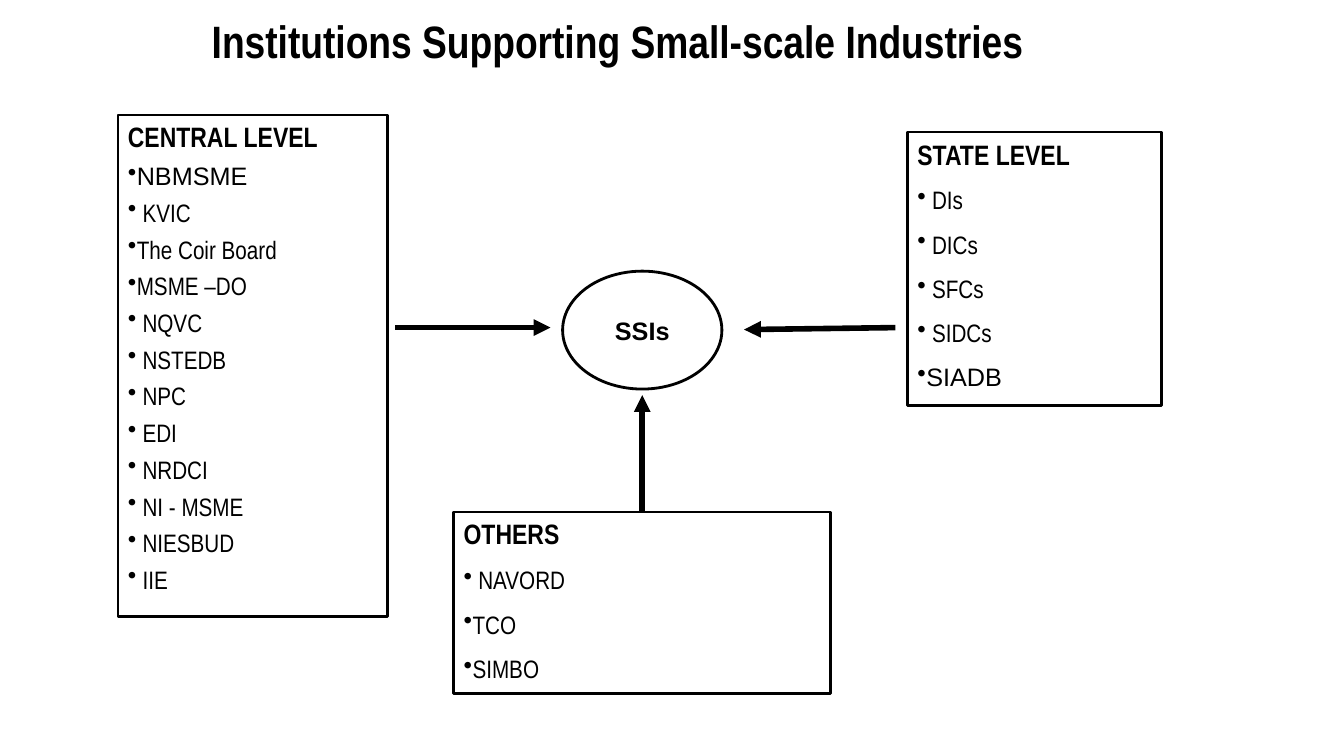
import pptx
import pptx.dml.color
import pptx.enum.shapes
import pptx.enum.text
import pptx.oxml.ns
import pptx.util
import lxml.etree

Inches = pptx.util.Inches
Pt = pptx.util.Pt
qn = pptx.oxml.ns.qn
SHAPE = pptx.enum.shapes.MSO_SHAPE
ALIGN = pptx.enum.text.PP_ALIGN
ANCHOR = pptx.enum.text.MSO_ANCHOR

THEME = {
    "ink": pptx.dml.color.RGBColor(0, 0, 0),
    "paper": pptx.dml.color.RGBColor(255, 255, 255),
    "narrow": "Arial Narrow",
    "wide": "Arial",
    "title": Pt(32.4),
    "heading": Pt(20),
    "body": Pt(18),
    "gap": Pt(10),
    "outline": Pt(2),
    "arrow": Pt(4),
}


def style(p, size, name, bold):
    p.font.size = size
    p.font.name = name
    p.font.bold = bold
    p.font.color.rgb = THEME["ink"]


def add_outlined(kind, left, top, width, height):
    sp = slide.shapes.add_shape(kind, Inches(left), Inches(top), Inches(width), Inches(height))
    sp.shadow.inherit = False
    sp.line.color.rgb = THEME["ink"]
    sp.line.width = THEME["outline"]
    sp.text_frame.word_wrap = True
    return sp


prs = pptx.Presentation()
prs.slide_width = Inches(13.33)
prs.slide_height = Inches(7.5)
slide = prs.slides.add_slide(prs.slide_layouts[5])

title = slide.shapes.title
title.left, title.top, title.width, title.height = Inches(2), Inches(0.17), Inches(9.33), Inches(0.53)
tf = title.text_frame
tf.text = "Institutions Supporting Small-scale Industries"
tf.vertical_anchor = ANCHOR.MIDDLE
p = tf.paragraphs[0]
p.alignment = ALIGN.LEFT
p.line_spacing = 0.9
style(p, THEME["title"], THEME["narrow"], True)

panels = [
    ("CENTRAL LEVEL", (1.17, 1.14, 2.67, 4.98), 0.75,
     ["NBMSME", " KVIC", "The Coir Board", "MSME –DO", " NQVC", " NSTEDB", " NPC",
      " EDI", " NRDCI", " NI - MSME", " NIESBUD", " IIE"]),
    ("STATE LEVEL", (9, 1.31, 2.52, 2.71), 1.0,
     [" DIs", " DICs", " SFCs", " SIDCs", "SIADB"]),
    ("OTHERS", (4.5, 5.08, 3.74, 1.8), 1.0,
     [" NAVORD", "TCO", "SIMBO"]),
]
wide_items = {"NBMSME", "SIADB"}
boxes = {}
for heading, place, spacing, items in panels:
    box = add_outlined(SHAPE.RECTANGLE, *place)
    box.fill.background()
    boxes[heading] = box
    tf = box.text_frame
    tf.vertical_anchor = ANCHOR.TOP
    p = tf.paragraphs[0]
    p.text = heading
    p.alignment = ALIGN.LEFT
    style(p, THEME["heading"], THEME["narrow"], True)
    for item in items:
        p = tf.add_paragraph()
        p.text = item
        p.alignment = ALIGN.LEFT
        p.line_spacing = spacing
        p.space_before = THEME["gap"]
        style(p, THEME["body"], THEME["wide" if item in wide_items else "narrow"], False)
        pPr = p._p.get_or_add_pPr()
        pPr.set("marL", "0")
        pPr.set("indent", "0")
        bullet = lxml.etree.Element(qn("a:buChar"), char="•")
        pPr.find(qn("a:defRPr")).addprevious(bullet)

hub = add_outlined(SHAPE.OVAL, 5.58, 2.69, 1.58, 1.17)
hub.fill.solid()
hub.fill.fore_color.rgb = THEME["paper"]
tf = hub.text_frame
tf.vertical_anchor = ANCHOR.MIDDLE
p = tf.paragraphs[0]
p.text = "SSIs"
p.alignment = ALIGN.CENTER
style(p, THEME["body"], THEME["wide"], True)

arrows = [
    ((6.37, 5.08), (6.37, 3.92), boxes["OTHERS"]),
    ((3.92, 3.25), (5.46, 3.25), None),
    ((8.88, 3.25), (7.38, 3.27), None),
]
for start, end, source in arrows:
    arrow = slide.shapes.add_connector(
        pptx.enum.shapes.MSO_CONNECTOR.STRAIGHT, *map(Inches, start + end))
    if source is not None:
        arrow.begin_connect(source, 0)
    arrow.line.color.rgb = THEME["ink"]
    arrow.line.width = THEME["arrow"]
    lxml.etree.SubElement(arrow.line._get_or_add_ln(), qn("a:tailEnd"), type="triangle")
    lxml.etree.SubElement(arrow._element.spPr, qn("a:effectLst"))

prs.save("out.pptx")
